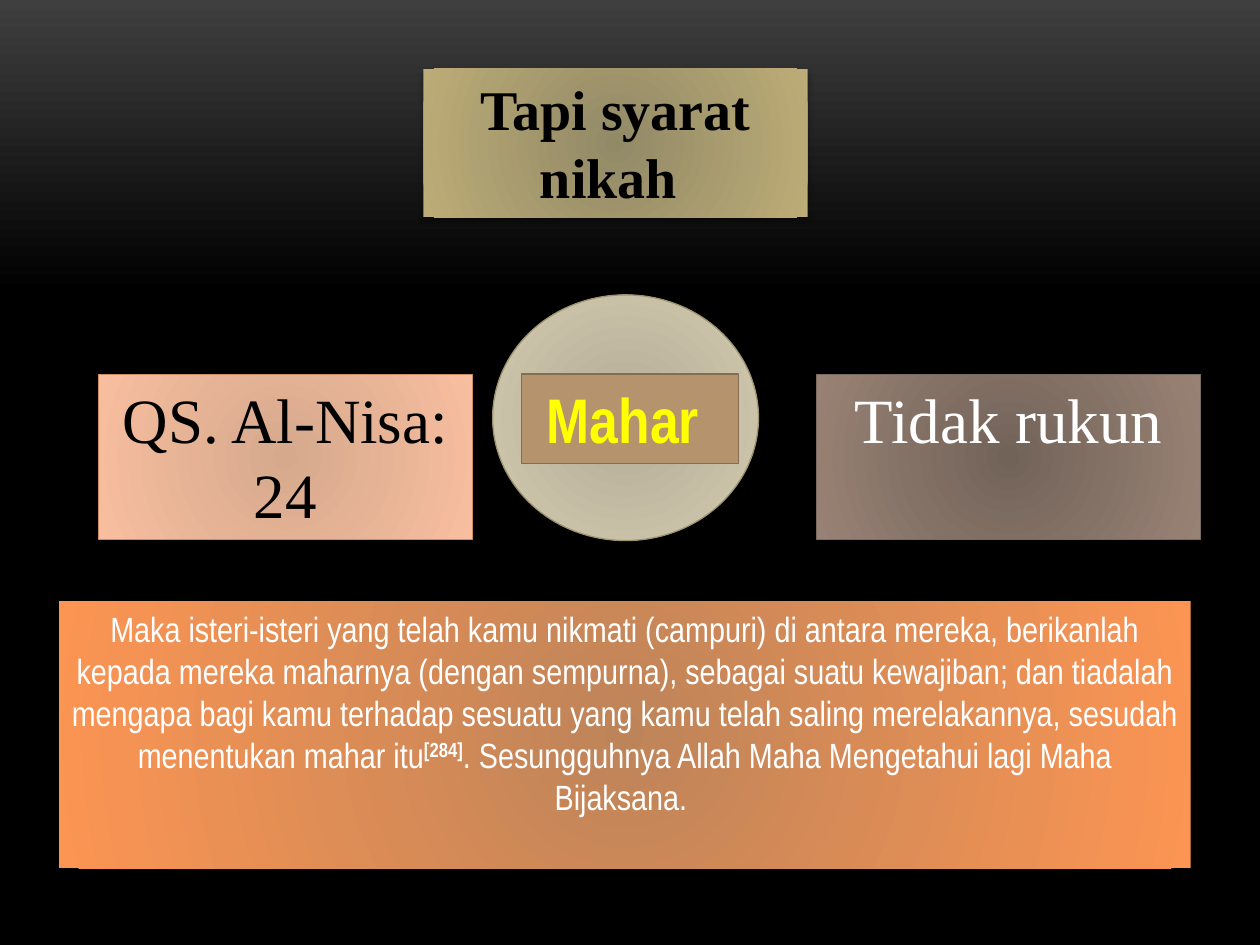
from lxml import etree
from pptx import Presentation
from pptx.dml.color import RGBColor
from pptx.enum.shapes import MSO_SHAPE as Preset
from pptx.enum.text import MSO_ANCHOR as Anchor, PP_ALIGN as Align
from pptx.oxml.ns import qn
from pptx.util import Inches, Pt

BLACK = RGBColor(0x00, 0x00, 0x00)
WHITE = RGBColor(0xFF, 0xFF, 0xFF)
YELLOW = RGBColor(0xFF, 0xFF, 0x00)
CHARCOAL = RGBColor(0x3F, 0x3F, 0x3F)
KHAKI = RGBColor(0x92, 0x89, 0x67), RGBColor(0xBC, 0xAC, 0x76)
PEACH = RGBColor(0xD6, 0xA9, 0x8D), RGBColor(0xF8, 0xBE, 0x9F)
ORANGE = RGBColor(0xBE, 0x84, 0x59), RGBColor(0xFC, 0x95, 0x53)
TAUPE = RGBColor(0x72, 0x63, 0x59), RGBColor(0x98, 0x82, 0x74)
SAND = RGBColor(0xB3, 0xAC, 0x95), RGBColor(0xD3, 0xCB, 0xB1)
TAN = RGBColor(0xB4, 0x93, 0x6D)
PEACH_EDGE = RGBColor(0xCC, 0x8E, 0x60)
TAUPE_EDGE = RGBColor(0x7A, 0x6A, 0x60)
SAND_EDGE = RGBColor(0x9D, 0x93, 0x6F)
TAN_EDGE = RGBColor(0x85, 0x6D, 0x51)

SERIF = "Times New Roman"
NARROW = "Arial Narrow"


def add_element(parent, tag, **attributes):
    values = {name: str(value) for name, value in attributes.items()}
    return etree.SubElement(parent, qn(tag), values)


def set_gradient(fill, properties, stops, radial=True):
    """Fill with (percent, colour) stops, from the centre outwards or top down."""
    fill.solid()
    solid = properties.find(qn("a:solidFill"))
    gradient = etree.Element(qn("a:gradFill"), rotWithShape="1")
    stop_list = add_element(gradient, "a:gsLst")
    for percent, color in stops:
        stop = add_element(stop_list, "a:gs", pos=percent * 1000)
        add_element(stop, "a:srgbClr", val=color)
    if radial:
        circle = add_element(gradient, "a:path", path="circle")
        add_element(circle, "a:fillToRect", **dict.fromkeys("ltrb", 100000))
    else:
        add_element(gradient, "a:lin", ang=90 * 60000, scaled=0)
    properties.replace(solid, gradient)


def add_text(paragraph, text, *, font, size, color, bold=False, superscript=False):
    run = paragraph.add_run()
    run.text = text
    run.font.name = font
    run.font.size = Pt(size)
    run.font.color.rgb = color
    run.font.bold = bold
    if superscript:
        run.font._element.set("baseline", "30000")


class SlideBuilder:
    """Places elements by percentages of the slide's width and height."""

    def __init__(self, presentation):
        self.width = presentation.slide_width
        self.height = presentation.slide_height
        self.slide = presentation.slides.add_slide(presentation.slide_layouts[6])

    def background(self, stops):
        fill = self.slide.background.fill
        fill.solid()
        properties = self.slide._element.cSld.find(qn("p:bg")).find(qn("p:bgPr"))
        set_gradient(fill, properties, stops, radial=False)

    def panel(self, left, top, width, height, fill, *, edge=None, edge_width=0.75,
              preset=Preset.RECTANGLE, shadow=None):
        """Add a shape; a pair of colours as fill is radial, shadow is (blur, distance)."""
        shape = self.slide.shapes.add_shape(
            preset, int(self.width * left / 100), int(self.height * top / 100),
            int(self.width * width / 100), int(self.height * height / 100))
        if isinstance(fill, RGBColor):
            shape.fill.solid()
            shape.fill.fore_color.rgb = fill
        else:
            set_gradient(shape.fill, shape._element.spPr, zip((0, 100), fill))
        if edge is None:
            shape.line.fill.background()
        else:
            shape.line.color.rgb = edge
            shape.line.width = Pt(edge_width)
        shape.shadow.inherit = False
        if shadow:
            self.add_shadow(shape, *shadow)
        shape.text_frame.word_wrap = True
        shape.text_frame.vertical_anchor = Anchor.TOP
        paragraph = shape.text_frame.paragraphs[0]
        paragraph.alignment = Align.CENTER
        return paragraph

    def add_shadow(self, shape, blur, distance):
        effects = shape._element.spPr.find(qn("a:effectLst"))
        outer = add_element(effects, "a:outerShdw", blurRad=Pt(blur), dist=Pt(distance),
                            dir=90 * 60000, rotWithShape=0)
        color = add_element(outer, "a:srgbClr", val=BLACK)
        add_element(color, "a:alpha", val=40000)


def main():
    presentation = Presentation()
    presentation.slide_width = Inches(10)
    presentation.slide_height = Inches(7.5)
    builder = SlideBuilder(presentation)
    builder.background([(0, CHARCOAL), (31, BLACK), (100, BLACK)])

    title = builder.panel(33.6, 7.27, 30.5, 15.73, KHAKI, shadow=(4, 2))
    add_text(title, "Tapi syarat nikah ", font=SERIF, size=32, color=BLACK, bold=True)

    row_top, row_height = 39.6, 17.47
    verse = builder.panel(7.8, row_top, 29.7, row_height, PEACH,
                          edge=PEACH_EDGE, shadow=(3, 2))
    add_text(verse, "QS. Al-Nisa: 24", font=SERIF, size=36, color=BLACK)

    translation = builder.panel(4.7, 63.6, 89.8, 28.27, ORANGE, shadow=(4, 2))
    body = dict(font=NARROW, size=20, color=WHITE)
    add_text(translation, "Maka isteri-isteri yang telah kamu nikmati (campuri) di antara "
             "mereka, berikanlah kepada mereka maharnya (dengan sempurna), sebagai suatu "
             "kewajiban; dan tiadalah mengapa bagi kamu terhadap sesuatu yang kamu telah "
             "saling merelakannya, sesudah menentukan mahar itu", **body)
    add_text(translation, "[284]", bold=True, superscript=True, **body)
    add_text(translation, ". Sesungguhnya Allah Maha Mengetahui lagi Maha Bijaksana. ", **body)

    pillar = builder.panel(64.8, row_top, 30.5, row_height, TAUPE,
                           edge=TAUPE_EDGE, shadow=(4, 3.4))
    add_text(pillar, "Tidak rukun", font=SERIF, size=36, color=WHITE)

    builder.panel(39.1, 31.2, 21.1, 26, SAND, edge=SAND_EDGE,
                  preset=Preset.OVAL, shadow=(3, 2))
    dowry = builder.panel(41.4, row_top, 17.2, 9.47, TAN, edge=TAN_EDGE, edge_width=0.85)
    add_text(dowry, "Mahar ", font=NARROW, size=36, color=YELLOW, bold=True)

    presentation.save("out.pptx")


if __name__ == "__main__":
    main()
